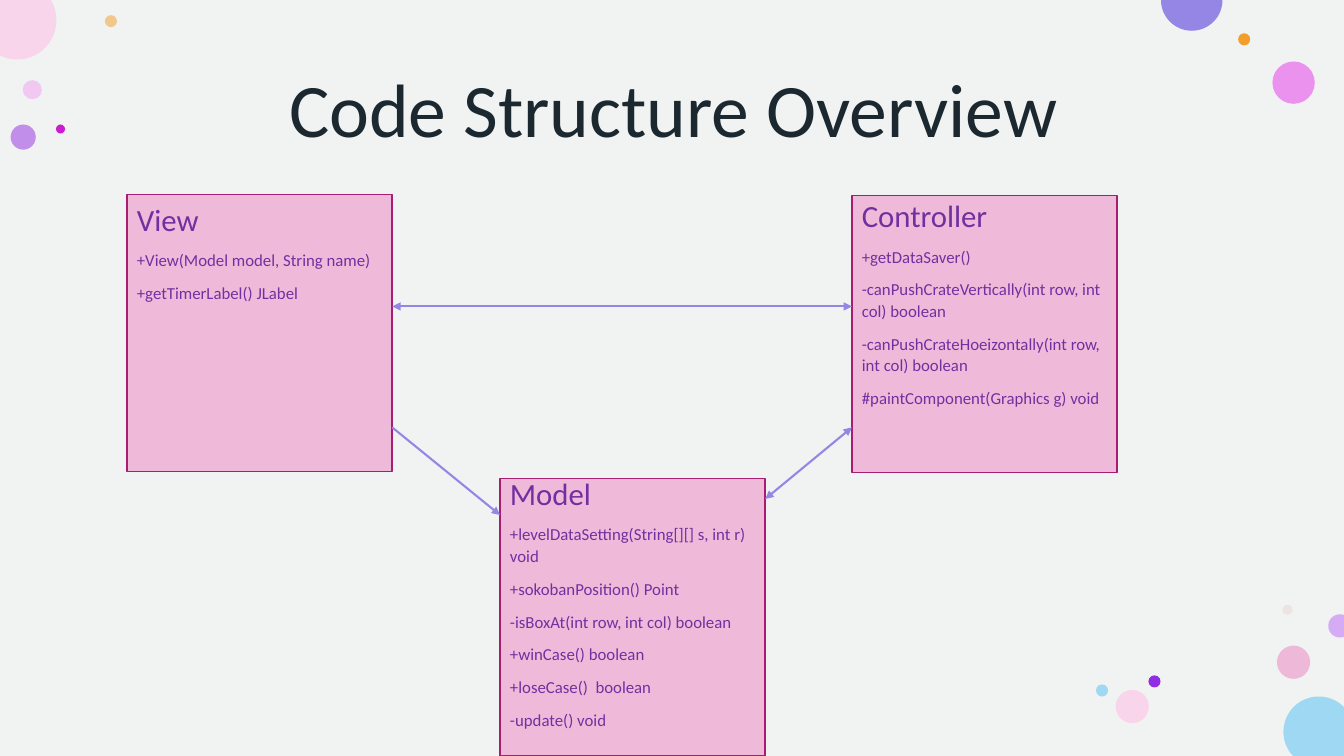
from math import cos, sin, tau

from lxml import etree
from pptx import Presentation
from pptx.dml.color import RGBColor
from pptx.enum.shapes import MSO_CONNECTOR, MSO_SHAPE
from pptx.enum.text import MSO_ANCHOR, PP_ALIGN
from pptx.oxml.ns import qn
from pptx.util import Inches, Pt

OVAL, RECTANGLE = MSO_SHAPE.OVAL, MSO_SHAPE.RECTANGLE
STRAIGHT = MSO_CONNECTOR.STRAIGHT
MIDDLE = MSO_ANCHOR.MIDDLE
CENTER, LEFT = PP_ALIGN.CENTER, PP_ALIGN.LEFT

W, H = 13.33, 7.5
BOX_W, BOX_H = 2.63, 2.75
FONT = "Calibri"
NAME_SIZE, MEMBER_SIZE, GAP, SPACING = 22, 12, 8, 1.07
ROW_PITCH = MEMBER_SIZE * 1.22 * SPACING + GAP

PAPER = RGBColor(0xF0, 0xF3, 0xF1)
INK = RGBColor(0x1B, 0x28, 0x30)
BOX_FILL = RGBColor(0xEF, 0xBA, 0xDA)
BOX_LINE = RGBColor(0xA7, 0x1E, 0x71)
BOX_TEXT = RGBColor(0x70, 0x30, 0xA0)
LAVENDER = RGBColor(0x95, 0x86, 0xE6)
ORCHID = RGBColor(0xF1, 0x9E, 0xF2)
ORANGE = RGBColor(0xF3, 0x9E, 0x29)
ROSE = RGBColor(0xEE, 0x81, 0xC3)
VIOLET = RGBColor(0x93, 0x2D, 0xE3)
PINK = RGBColor(0xE9, 0x6D, 0xEC)
DUST = RGBColor(0xE3, 0xBE, 0xBE)
BLUSH = RGBColor(0xF9, 0xD5, 0xEB)
SKY = RGBColor(0x9E, 0xD8, 0xF2)
MAGENTA = RGBColor(0xCD, 0x1B, 0xD1)
LILAC = RGBColor(0xD4, 0xAB, 0xF4)

BUBBLES = [
    (0.32, 0.89, 0.19, ORCHID, 50),
    (1.1, 0.21, 0.12, ORANGE, 50),
    (12.83, 6.57, 0.33, ROSE, 50),
    (0.23, 1.36, 0.25, VIOLET, 50),
    (12.83, 0.82, 0.42, PINK, 72),
    (12.34, 0.39, 0.12, ORANGE, 100),
    (12.77, 6.05, 0.1, DUST, 28),
    (11.45, 6.76, 0.12, VIOLET, 100),
    (11.23, 7.01, 0.33, BLUSH, 100),
    (10.93, 6.85, 0.12, SKY, 100),
    (13.08, 7.26, 0.7, SKY, 100),
    (0.17, 0.2, 0.78, BLUSH, 100),
    (11.82, 0, 0.61, LAVENDER, 100),
    (0.6, 1.28, 0.09, MAGENTA, 100),
    (13.29, 6.21, 0.23, LILAC, 100),
]

VIEW = (1.26, 1.93, BOX_W, BOX_H)
MODEL = (4.96, H - BOX_H, BOX_W, BOX_H)
CONTROLLER = (8.45, 1.94, BOX_W, BOX_H)

CLASSES = [
    (VIEW, "View", 5, [
        "+View(Model model, String name)",
        "+getTimerLabel() JLabel",
    ]),
    (MODEL, "Model", 1, [
        "+levelDataSetting(String[][] s, int r) void",
        "+sokobanPosition() Point",
        "-isBoxAt(int row, int col) boolean",
        "+winCase() boolean",
        "+loseCase()  boolean",
        "-update() void",
    ]),
    (CONTROLLER, "Controller", 2, [
        "+getDataSaver()",
        "-canPushCrateVertically(int row, int col) boolean",
        "-canPushCrateHoeizontally(int row, int col) boolean",
        "#paintComponent(Graphics g) void",
    ]),
]


def clipped_circle(s, x, y, radius):
    points = []
    for i in range(120):
        px = x + radius * cos(tau * i / 120)
        py = y + radius * sin(tau * i / 120)
        points.append((Inches(min(max(px, 0), W)), Inches(min(max(py, 0), H))))
    builder = s.shapes.build_freeform(*points[0], scale=1.0)
    builder.add_line_segments(points[1:], close=True)
    return builder.convert_to_shape()


def add_bubble(s, x, y, size, color, alpha):
    r = size / 2
    if r <= x <= W - r and r <= y <= H - r:
        sp = s.shapes.add_shape(OVAL, *map(Inches, (x - r, y - r, size, size)))
    else:
        sp = clipped_circle(s, x, y, r)
    sp.shadow.inherit = False
    sp.line.fill.background()
    sp.fill.solid()
    sp.fill.fore_color.rgb = color
    if alpha < 100:
        clr = sp.fill._xPr.find(".//" + qn("a:srgbClr"))
        etree.SubElement(clr, qn("a:alpha"), val=str(alpha * 1000))


def add_title(s, box, text):
    tf = s.shapes.add_textbox(*map(Inches, box)).text_frame
    tf.word_wrap = True
    tf.vertical_anchor = MIDDLE
    p = tf.paragraphs[0]
    p.text = text
    p.alignment = CENTER
    p.line_spacing = 0.9
    p.font.name = FONT
    p.font.size = Pt(54)
    p.font.color.rgb = INK


def add_class(s, box, name, free_rows, members):
    sp = s.shapes.add_shape(RECTANGLE, *map(Inches, box))
    sp.shadow.inherit = False
    sp.fill.solid()
    sp.fill.fore_color.rgb = BOX_FILL
    sp.line.color.rgb = BOX_LINE
    sp.line.width = Pt(1)
    tf = sp.text_frame
    tf.word_wrap = True
    tf.vertical_anchor = MIDDLE
    tf.margin_top = 0
    tf.margin_bottom = Pt(free_rows * ROW_PITCH)
    for i, text in enumerate([name] + members):
        p = tf.add_paragraph() if i else tf.paragraphs[0]
        p.text = text
        p.alignment = LEFT
        p.line_spacing = SPACING
        p.space_after = Pt(GAP)
        p.font.name = FONT
        p.font.size = Pt(MEMBER_SIZE if i else NAME_SIZE)
        p.font.color.rgb = BOX_TEXT


def add_arrow(s, start, end, ends):
    line = s.shapes.add_connector(STRAIGHT, *map(Inches, start + end))
    line.line.color.rgb = LAVENDER
    line.line.width = Pt(1.5)
    for tag in ends:
        etree.SubElement(line.line._get_or_add_ln(), qn(tag), type="triangle")
    etree.SubElement(line._element.spPr, qn("a:effectLst"))


def on_edge(box, side, drop):
    left, top, width, _ = box
    return left + side * width, top + drop


def add_links(s):
    both = ("a:headEnd", "a:tailEnd")
    add_arrow(s, on_edge(CONTROLLER, 0, 2.3), on_edge(MODEL, 1, 0.2), both)
    add_arrow(s, on_edge(CONTROLLER, 0, 1.1), on_edge(VIEW, 1, 1.11), both)
    add_arrow(s, on_edge(VIEW, 1, 2.31), on_edge(MODEL, 0, 0.36), both[1:])


def main():
    prs = Presentation()
    prs.slide_width, prs.slide_height = Inches(W), Inches(H)
    s = prs.slides.add_slide(prs.slide_layouts[6])
    s.background.fill.solid()
    s.background.fill.fore_color.rgb = PAPER
    for bubble in BUBBLES:
        add_bubble(s, *bubble)
    add_title(s, (0.85, 0.4, 11.66, 1.45), "Code Structure Overview")
    for item in CLASSES:
        add_class(s, *item)
    add_links(s)
    prs.save("out.pptx")


if __name__ == "__main__":
    main()
